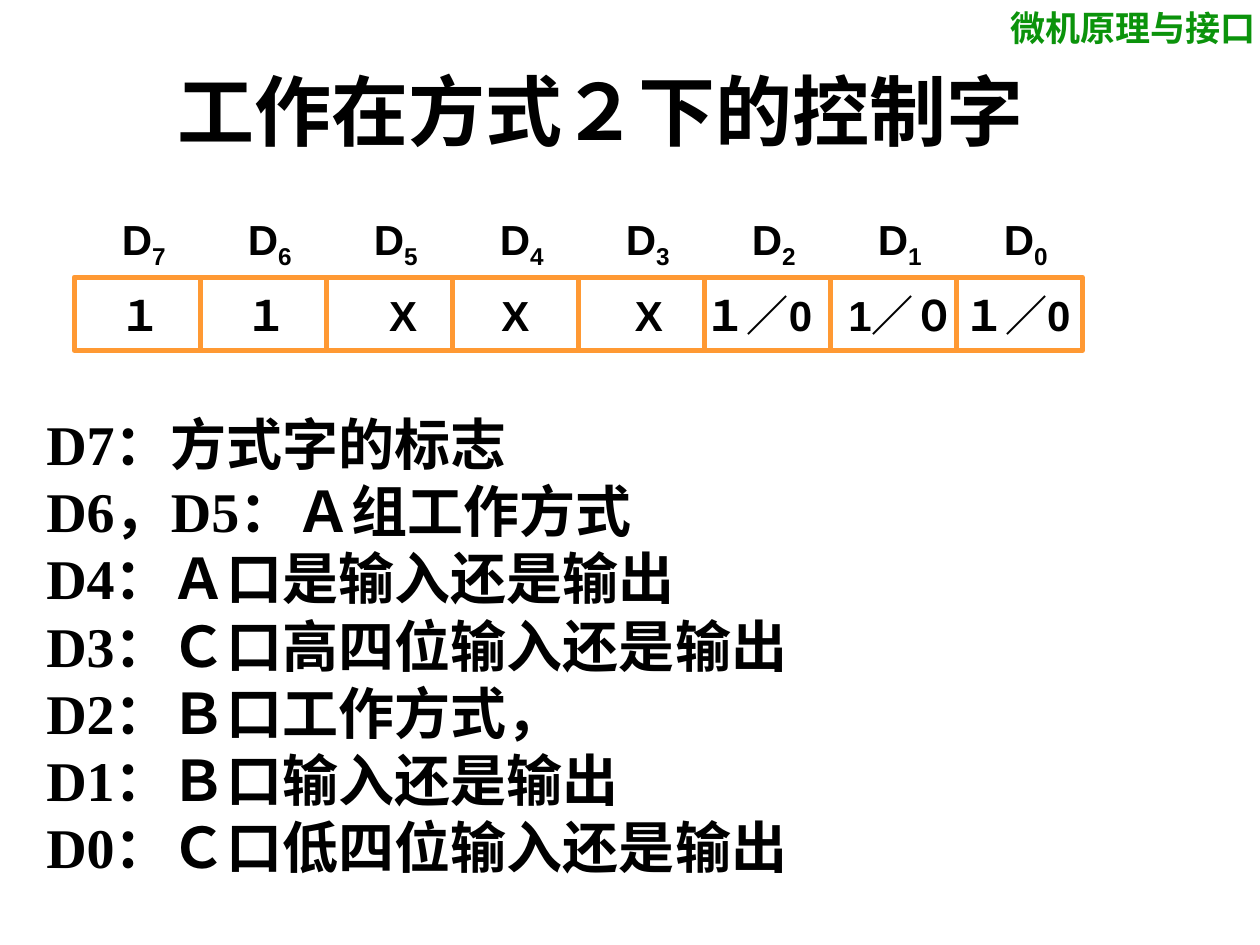
from pptx import Presentation
from pptx.dml.color import RGBColor
from pptx.enum.shapes import MSO_SHAPE
from pptx.enum.text import MSO_ANCHOR, MSO_AUTO_SIZE, PP_ALIGN
from pptx.oxml.ns import qn
from pptx.util import Pt
from lxml import etree

RECT = MSO_SHAPE.RECTANGLE
TOP, MIDDLE = MSO_ANCHOR.TOP, MSO_ANCHOR.MIDDLE
LEFT, CENTER = PP_ALIGN.LEFT, PP_ALIGN.CENTER
NO_FIT = MSO_AUTO_SIZE.NONE

COLORS = {"text": "000000", "header": "0B930B", "cell": "FF9933"}
SERIF, SANS = "Times New Roman", "Arial"
BIT = 72
REGISTER_LEFT, REGISTER_TOP, CELL_HEIGHT = 42.5, 158.4, 41.8

VALUES = [
    ("１", 61.2, 38.2), ("１", 133.2, 38.2), ("X", 215.3, 30.2),
    ("X", 279.4, 30.2), ("X", 355.7, 30.2), ("１／0", 388.1, 90.7),
    ("1／０", 473, 85), ("１／0", 535.7, 90.7),
]
MEANINGS = [
    "D7：方式字的标志",
    "D6，D5：Ａ组工作方式",
    "D4：Ａ口是输入还是输出",
    "D3：Ｃ口高四位输入还是输出",
    "D2：Ｂ口工作方式，",
    "D1：Ｂ口输入还是输出",
    "D0：Ｃ口低四位输入还是输出",
]


class Deck:
    def __init__(self, slide):
        self.s = slide

    def style(self, p, size, font, color="text", align=LEFT):
        p.alignment = align
        p.line_spacing = Pt(size * 1.2)
        f = p.font
        f.size, f.name, f.bold = Pt(size), font, True
        f.color.rgb = RGBColor.from_string(COLORS[color])

    def frame(self, sp, anchor, wrap):
        tf = sp.text_frame
        tf.word_wrap, tf.auto_size, tf.vertical_anchor = wrap, NO_FIT, anchor
        tf.margin_left = tf.margin_right = Pt(7.2)
        tf.margin_top = tf.margin_bottom = Pt(3.6)
        return tf

    def title(self, text, x, y, w, h):
        sp = self.s.shapes.title
        sp.left, sp.top, sp.width, sp.height = Pt(x), Pt(y), Pt(w), Pt(h)
        tf = self.frame(sp, TOP, True)
        tf.text = text
        self.style(tf.paragraphs[0], 44, SERIF, align=CENTER)

    def box(self, x, y, w, h, anchor=TOP, wrap=True):
        sp = self.s.shapes.add_textbox(Pt(x), Pt(y), Pt(w), Pt(h))
        return self.frame(sp, anchor, wrap)

    def text(self, lines, x, y, w, h, size, font, color="text",
             align=LEFT, anchor=TOP, wrap=True, hanging=0):
        tf = self.box(x, y, w, h, anchor, wrap)
        for i, line in enumerate(lines):
            p = tf.add_paragraph() if i else tf.paragraphs[0]
            p.add_run().text = line
            if hanging:
                pPr = p._p.get_or_add_pPr()
                pPr.set("marL", str(Pt(hanging)))
                pPr.set("indent", str(Pt(-hanging)))
            self.style(p, size, font, color, align)

    def cell(self, x, y, w, h):
        sp = self.s.shapes.add_shape(RECT, Pt(x), Pt(y), Pt(w), Pt(h))
        sp.shadow.inherit = False
        sp.fill.background()
        sp.line.color.rgb = RGBColor.from_string(COLORS["cell"])
        sp.line.width = Pt(3)

    def bit_labels(self, count, x, y, w, h):
        p = self.box(x, y, w, h, MIDDLE).paragraphs[0]
        p.line_spacing = Pt(28.8)
        tabs = etree.SubElement(p._p.get_or_add_pPr(), qn("a:tabLst"))
        for i in range(1, count):
            etree.SubElement(tabs, qn("a:tab"), pos=str(Pt(i * BIT)), algn="l")
        for bit in reversed(range(count)):
            p.add_run().text = "D"
            r = p.add_run()
            r.text = f"{bit}\t" if bit else "0"
            r._r.get_or_add_rPr().set("baseline", "-25000")
        self.style(p, 24, SANS)


def main():
    prs = Presentation()
    prs.slide_width, prs.slide_height = Pt(720), Pt(540)
    deck = Deck(prs.slides.add_slide(prs.slide_layouts[5]))

    deck.text(["微机原理与接口"], 570.2, 0, 162, 31.7, 20, SERIF, "header")
    deck.title("工作在方式２下的控制字", 19.4, 32.4, 648, 90)
    deck.text(MEANINGS, 19.4, 230.4, 648, 356.4, 32, SERIF, hanging=27)

    for i in range(len(VALUES)):
        deck.cell(REGISTER_LEFT + i * BIT, REGISTER_TOP, BIT, CELL_HEIGHT)
    deck.bit_labels(len(VALUES), 62.6, 120.2, 543.6, 40.3)
    for value, x, w in VALUES:
        deck.text([value], x, 162, w, 36, 24, SANS,
                  align=CENTER, anchor=MIDDLE, wrap=False)

    prs.save("out.pptx")


if __name__ == "__main__":
    main()
